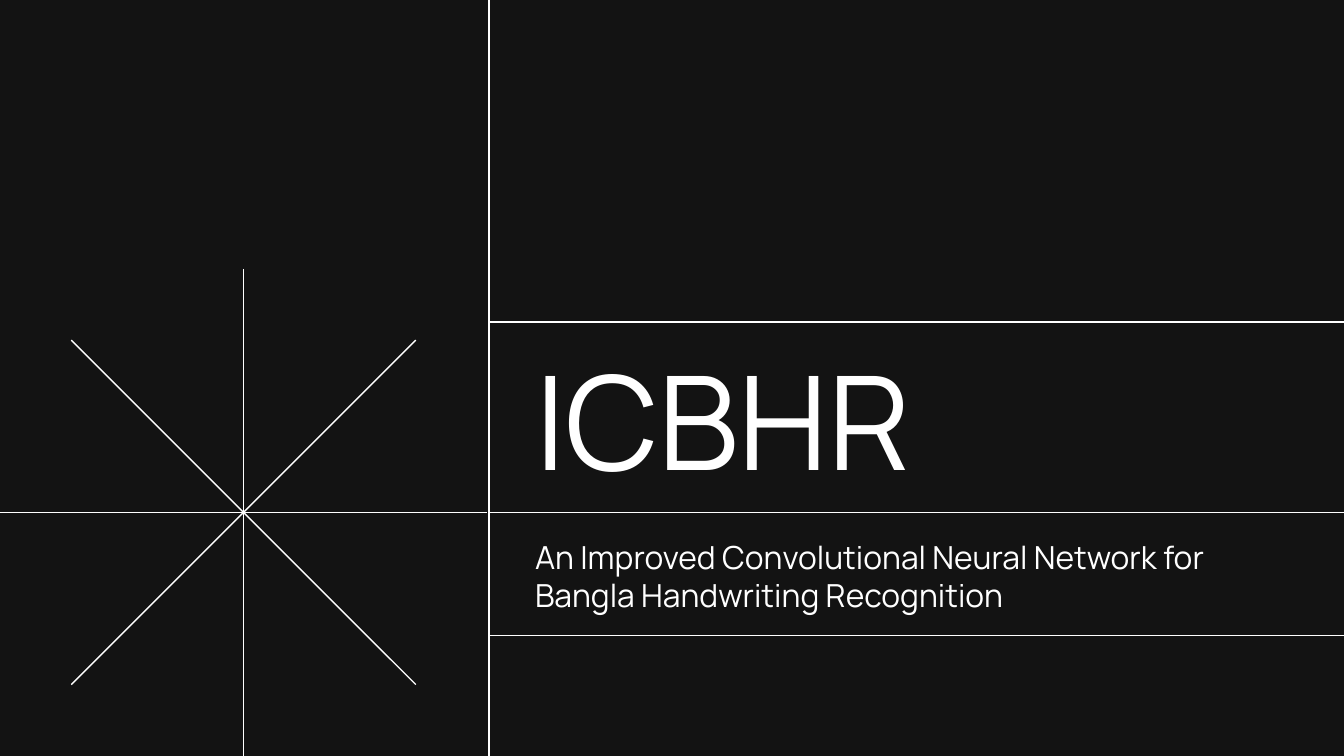
import math

import lxml.etree
import pptx
import pptx.dml.color
import pptx.enum.shapes
import pptx.enum.text
import pptx.oxml.ns
import pptx.util

Pt = pptx.util.Pt

TITLE = "ICBHR"
SUBTITLE = "An Improved Convolutional Neural Network for Bangla Handwriting Recognition"

WIDTH, HEIGHT = 720, 405
THEME = {
    "background": pptx.dml.color.RGBColor(0x13, 0x13, 0x13),
    "ink": pptx.dml.color.RGBColor(0xFF, 0xFF, 0xFF),
    "font": "Manrope",
    "title_size": 70,
    "subtitle_size": 17,
    "line_width": 0.75,
    "inset": 7.2,
}

DIVIDER_X = 262
TITLE_RULE_Y, MIDDLE_Y, SUBTITLE_RULE_Y = 172.5, 274.5, 340.5
TITLE_BOX = (279.4, 160.6, 380, 113.8)
SUBTITLE_BOX = (279.4, 280.8, 419, 54)
STAR_RADIUS = 130.5
STAR_CENTRE = (STAR_RADIUS, MIDDLE_Y)


def add_line(slide, start, end):
    line = slide.shapes.add_connector(
        pptx.enum.shapes.MSO_CONNECTOR.STRAIGHT, *map(Pt, start + end))
    line.line.color.rgb = THEME["ink"]
    line.line.width = Pt(THEME["line_width"])
    lxml.etree.SubElement(line.element.spPr, pptx.oxml.ns.qn("a:effectLst"))


def add_star(slide):
    """Draw four lines through the centre, 45 degrees apart."""
    x, y = STAR_CENTRE
    for step in range(4):
        angle = step * math.pi / 4
        across = round(STAR_RADIUS * math.cos(angle), 2)
        down = round(STAR_RADIUS * math.sin(angle), 2)
        add_line(slide, (x - across, y - down), (x + across, y + down))


def fill_placeholder(shape, box, text, size, anchor, spacing):
    shape.left, shape.top, shape.width, shape.height = map(Pt, box)
    frame = shape.text_frame
    frame.word_wrap = True
    frame.auto_size = pptx.enum.text.MSO_AUTO_SIZE.NONE
    frame.vertical_anchor = anchor
    frame.margin_left = frame.margin_right = Pt(THEME["inset"])
    frame.margin_top = frame.margin_bottom = Pt(THEME["inset"])
    paragraph = frame.paragraphs[0]
    paragraph.alignment = pptx.enum.text.PP_ALIGN.LEFT
    paragraph.line_spacing = spacing
    paragraph.space_before = Pt(0)
    run = paragraph.add_run()
    run.text = text
    run.font.name = THEME["font"]
    run.font.size = Pt(size)
    run.font.color.rgb = THEME["ink"]


def main():
    presentation = pptx.Presentation()
    presentation.slide_width, presentation.slide_height = Pt(WIDTH), Pt(HEIGHT)
    slide = presentation.slides.add_slide(presentation.slide_layouts[0])
    slide.background.fill.solid()
    slide.background.fill.fore_color.rgb = THEME["background"]

    anchors = pptx.enum.text.MSO_ANCHOR
    fill_placeholder(slide.shapes.title, TITLE_BOX, TITLE,
                     THEME["title_size"], anchors.BOTTOM, 0.9)
    fill_placeholder(slide.placeholders[1], SUBTITLE_BOX, SUBTITLE,
                     THEME["subtitle_size"], anchors.TOP, 1.0)

    add_star(slide)
    add_line(slide, (DIVIDER_X, 0), (DIVIDER_X, HEIGHT))
    for y in (MIDDLE_Y, TITLE_RULE_Y, SUBTITLE_RULE_Y):
        add_line(slide, (DIVIDER_X, y), (WIDTH, y))

    presentation.save("out.pptx")


if __name__ == "__main__":
    main()
